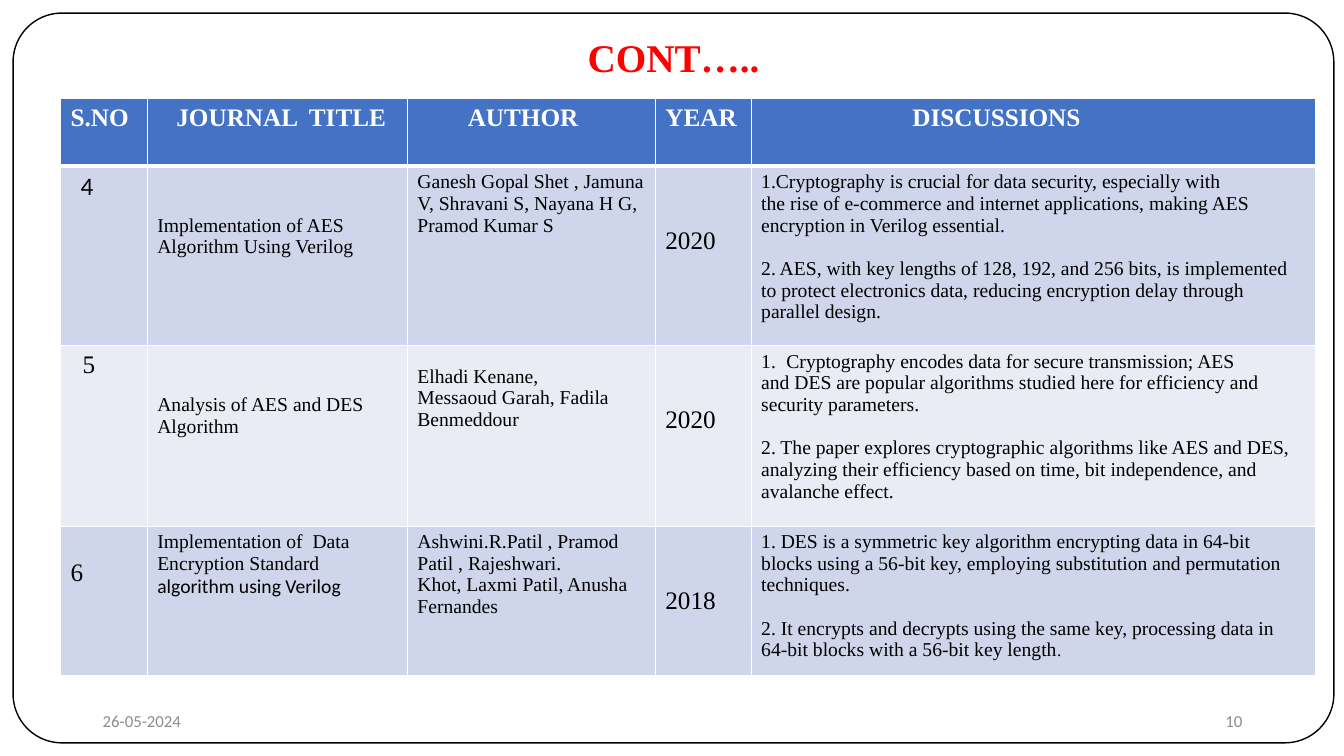
from dataclasses import dataclass

from lxml.etree import SubElement
from pptx import Presentation
from pptx.dml.color import RGBColor
from pptx.enum.shapes import MSO_SHAPE
from pptx.enum.text import MSO_ANCHOR, PP_ALIGN
from pptx.oxml.ns import qn
from pptx.util import Inches, Pt


@dataclass(frozen=True)
class Theme:
    serif: str = "Times New Roman"
    sans: str = "Calibri"
    black: str = "000000"
    white: str = "FFFFFF"
    red: str = "FF0000"
    grey: str = "8C8C8C"
    header_fill: str = "4472C4"
    bands: tuple = ("CFD5EA", "E9EBF5")
    title_size: int = 28
    large: int = 18
    body: int = 14
    small: int = 12
    paragraph_gap: float = 15.5


@dataclass
class Entry:
    paragraphs: tuple
    size: int
    font: str = Theme.serif
    left: float = 0.1
    top: float = 0.05
    tail: tuple = ()
    gap_last: bool = False
    numbered: bool = False


THEME = Theme()
WIDTH, HEIGHT = 13.33, 7.5
COLUMNS = (0.86, 2.58, 2.46, 0.95, 5.6)
ROWS = (0.67, 1.78, 1.79, 1.39)
TWO_LINES_DOWN = 0.48


def heading(text, left=0.1):
    return Entry((text,), THEME.large, left=left)


def number(text, **options):
    return Entry((text,), THEME.large, **options)


def details(*paragraphs, **options):
    return Entry(paragraphs, THEME.body, **options)


def year(text):
    return Entry((text,), THEME.large, top=0.6)


def discussion(*paragraphs, **options):
    return details(*paragraphs, gap_last=True, **options)


PAPERS = (
    (
        heading("S.NO"), heading("JOURNAL  TITLE", 0.29), heading("AUTHOR", 0.6),
        heading("YEAR"), heading("DISCUSSIONS", 1.6),
    ),
    (
        number("4", font=THEME.sans, left=0.2),
        details("Implementation of AES Algorithm Using Verilog", top=TWO_LINES_DOWN),
        details("Ganesh Gopal Shet , Jamuna V, Shravani S, Nayana H G, Pramod Kumar S"),
        year("2020"),
        discussion(
            "1.Cryptography is crucial for data security, especially with",
            "the rise of e-commerce and internet applications, making AES encryption in Verilog essential.",
            "2. AES, with key lengths of 128, 192, and 256 bits, is implemented to protect electronics data, "
            "reducing encryption delay through parallel design.",
        ),
    ),
    (
        number("5", left=0.22),
        details("Analysis of AES and DES Algorithm", top=TWO_LINES_DOWN),
        details("Elhadi Kenane,", "Messaoud Garah, Fadila Benmeddour", top=0.2),
        year("2020"),
        discussion(
            "Cryptography encodes data for secure transmission; AES",
            "and DES are popular algorithms studied here for efficiency and security parameters.",
            "2. The paper explores cryptographic algorithms like AES and DES, analyzing their efficiency "
            "based on time, bit independence, and avalanche effect.",
            numbered=True,
        ),
    ),
    (
        number("6", top=0.33),
        details("Implementation of  Data Encryption Standard ",
                tail=("algorithm using Verilog", THEME.sans, THEME.body)),
        details("Ashwini.R.Patil , Pramod  Patil , Rajeshwari.", "Khot, Laxmi Patil, Anusha Fernandes"),
        year("2018"),
        discussion(
            "1. DES is a symmetric key algorithm encrypting data in 64-bit blocks using a 56-bit key, "
            "employing substitution and permutation techniques.",
            "2. It encrypts and decrypts using the same key, processing data in 64-bit blocks "
            "with a 56-bit key length",
            tail=(".", THEME.serif, THEME.small),
        ),
    ),
)


def set_font(font, name, size, color, bold=False):
    font.name, font.size, font.bold = name, Pt(size), bold
    font.color.rgb = RGBColor.from_string(color)


def add_numbering(paragraph):
    properties = paragraph._p.get_or_add_pPr()
    properties.set("marL", str(Inches(0.25)))
    properties.set("indent", str(-Inches(0.25)))
    SubElement(properties, qn("a:buFont"), typeface=THEME.serif)
    SubElement(properties, qn("a:buAutoNum"), type="arabicPeriod")


def set_borders(cell, top, bottom):
    properties = cell._tc.get_or_add_tcPr()
    for side, width in (("L", 1), ("R", 1), ("T", top), ("B", bottom)):
        line = SubElement(properties, qn(f"a:ln{side}"), w=str(Pt(width)))
        fill = SubElement(line, qn("a:solidFill"))
        SubElement(fill, qn("a:srgbClr"), val=THEME.white)


def fill_cell(cell, entry, row):
    header = row == 0
    color = THEME.white if header else THEME.black
    set_borders(cell, 3 if row == 1 else 1, 3 if header else 1)
    cell.fill.solid()
    cell.fill.fore_color.rgb = RGBColor.from_string(
        THEME.header_fill if header else THEME.bands[(row - 1) % 2])
    cell.margin_left, cell.margin_top = Inches(entry.left), Inches(entry.top)
    frame = cell.text_frame
    last = len(entry.paragraphs) - 1
    for index, text in enumerate(entry.paragraphs):
        paragraph = frame.add_paragraph() if index else frame.paragraphs[0]
        if index == last and entry.gap_last:
            paragraph.space_before = Pt(THEME.paragraph_gap)
        if index == 0 and entry.numbered:
            add_numbering(paragraph)
        run = paragraph.add_run()
        run.text = text
        if index == last and entry.tail:
            set_font(run.font, entry.font, entry.size, color, header)
            tail_text, tail_font, tail_size = entry.tail
            tail_run = paragraph.add_run()
            tail_run.text = tail_text
            set_font(tail_run.font, tail_font, tail_size, color)
        else:
            set_font(paragraph.font, entry.font, entry.size, color, header)


def add_frame(slide, left, top, width, height):
    frame = slide.shapes.add_shape(
        MSO_SHAPE.ROUNDED_RECTANGLE, Inches(left), Inches(top), Inches(width), Inches(height))
    frame.adjustments[0] = 0.067
    frame.shadow.inherit = False
    frame.fill.background()
    frame.line.color.rgb = RGBColor.from_string(THEME.black)
    frame.line.width = Pt(1)


def place_title(slide, text, left, top, width, height):
    title = slide.shapes.title
    title.left, title.top, title.width, title.height = map(Inches, (left, top, width, height))
    title.text_frame.text = text
    title.text_frame.vertical_anchor = MSO_ANCHOR.MIDDLE
    paragraph = title.text_frame.paragraphs[0]
    paragraph.alignment = PP_ALIGN.CENTER
    set_font(paragraph.font, THEME.serif, THEME.title_size, THEME.red, True)


def add_papers_table(slide, left, top):
    table = slide.shapes.add_table(
        len(ROWS), len(COLUMNS), Inches(left), Inches(top),
        Inches(sum(COLUMNS)), Inches(sum(ROWS))).table
    for column, width in zip(table.columns, COLUMNS):
        column.width = Inches(width)
    for row, height in zip(table.rows, ROWS):
        row.height = Inches(height)
    for row, entries in enumerate(PAPERS):
        for column, entry in enumerate(entries):
            fill_cell(table.cell(row, column), entry, row)


def add_footer(slide, left, top, width, height):
    box_width = 3
    for text, box_left, alignment in (
        ("26-05-2024", left, PP_ALIGN.LEFT),
        ("10", left + width - box_width, PP_ALIGN.RIGHT),
    ):
        box = slide.shapes.add_textbox(Inches(box_left), Inches(top), Inches(box_width), Inches(height))
        box.text_frame.word_wrap = True
        box.text_frame.vertical_anchor = MSO_ANCHOR.MIDDLE
        paragraph = box.text_frame.paragraphs[0]
        paragraph.text = text
        paragraph.alignment = alignment
        set_font(paragraph.font, THEME.sans, THEME.small, THEME.grey)


def main():
    presentation = Presentation()
    presentation.slide_width, presentation.slide_height = Inches(WIDTH), Inches(HEIGHT)
    slide = presentation.slides.add_slide(presentation.slide_layouts[5])
    add_frame(slide, 0.13, 0.13, 13.1, 7.24)
    place_title(slide, "CONT…..", 0.93, 0.25, 11.5, 0.63)
    add_footer(slide, 0.92, 6.95, 11.5, 0.4)
    add_papers_table(slide, 0.6, 0.98)
    presentation.save("out.pptx")


if __name__ == "__main__":
    main()
